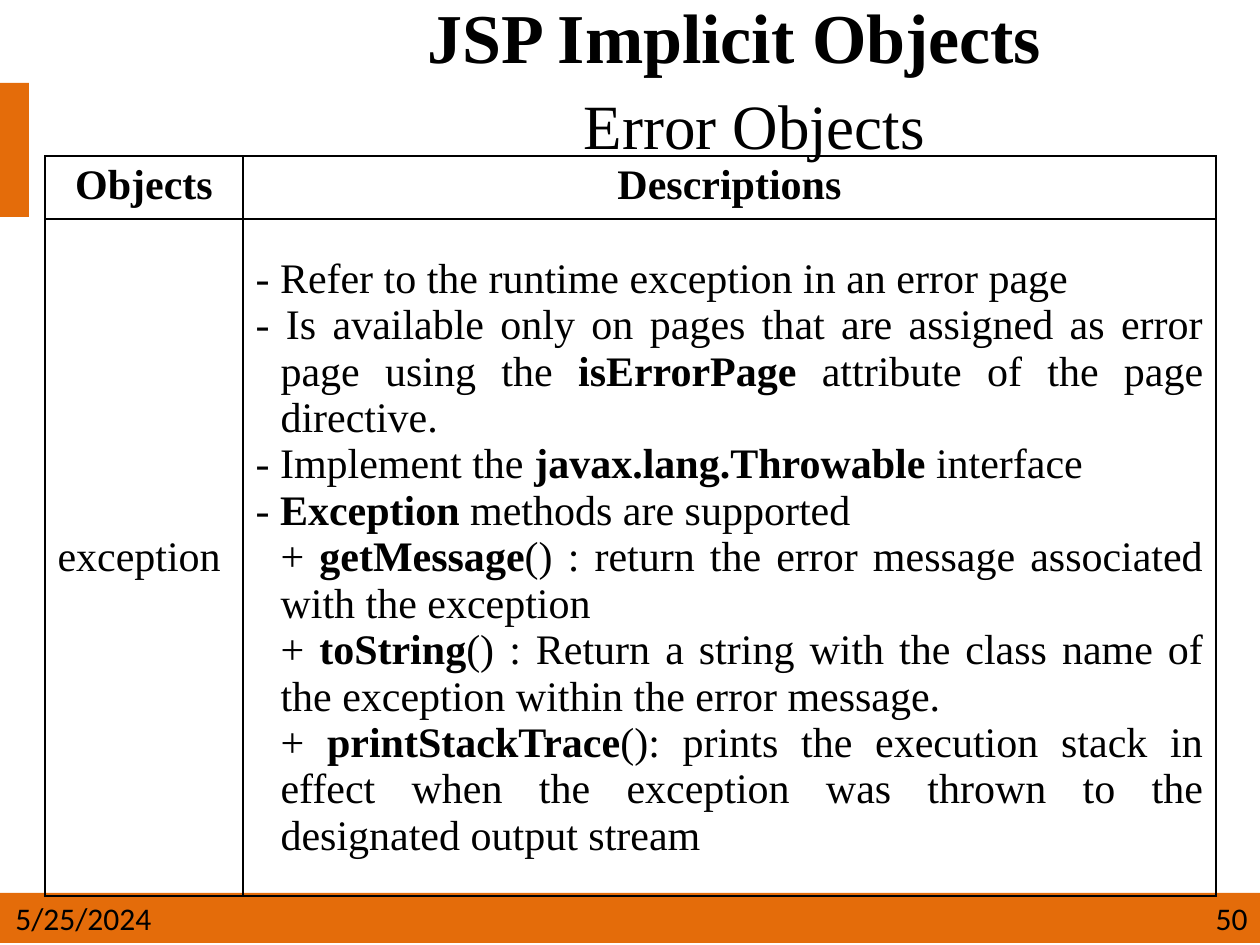
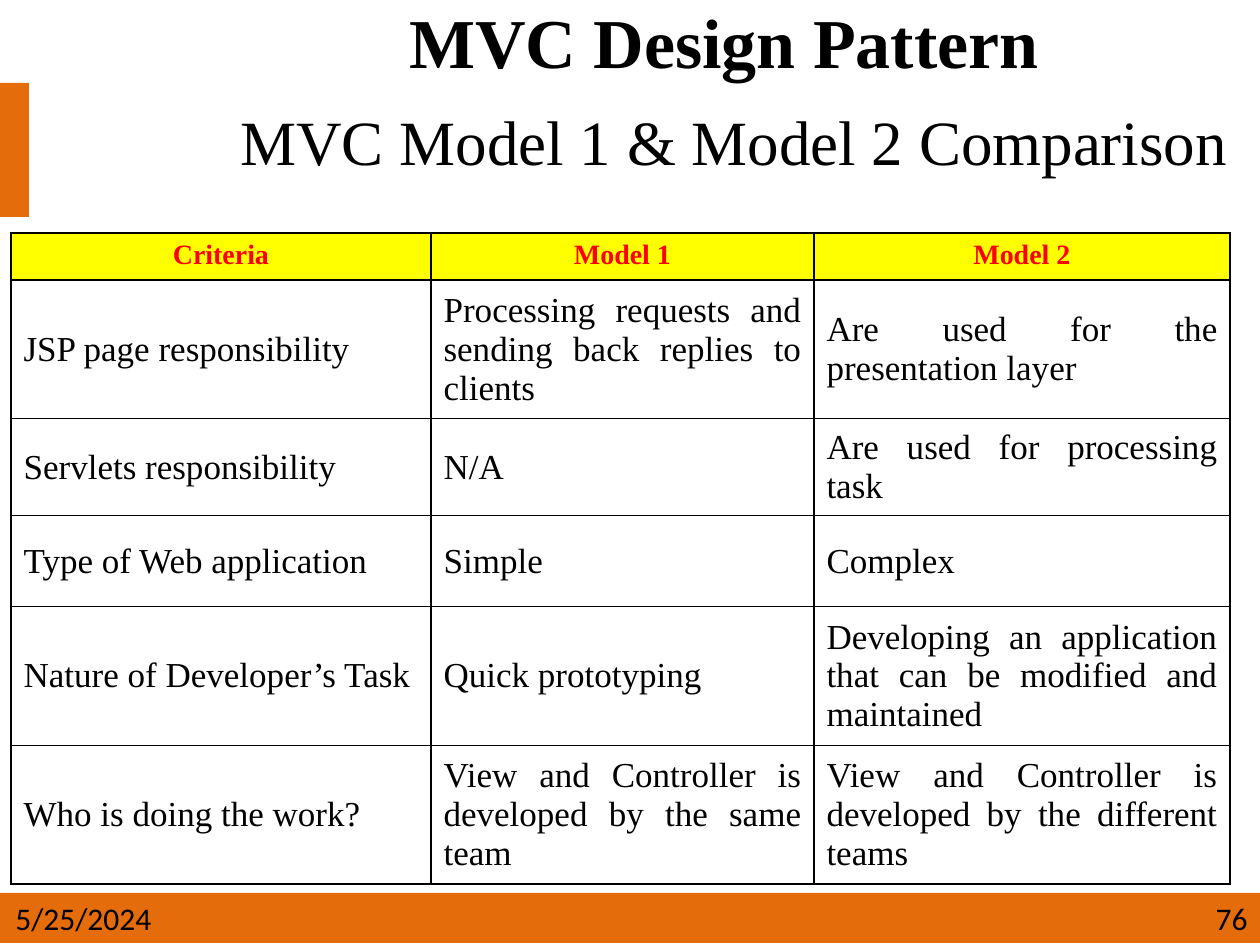
import pptx
import pptx.util
import pptx.dml.color
import pptx.enum.shapes
import pptx.enum.text
import pptx.oxml.ns
import lxml.etree

SCALE = 914400 / 126
ALIGN = pptx.enum.text.PP_ALIGN
MIDDLE = pptx.enum.text.MSO_ANCHOR.MIDDLE
TOP = pptx.enum.text.MSO_ANCHOR.TOP
SERIF, SANS = "Times New Roman", "Calibri"
ORANGE, BLACK, RED, YELLOW = "E46C0A", "000000", "FF0000", "FFFF00"
RGB = pptx.dml.color.RGBColor.from_string


def px(*nums):
    """Turn px into EMU: one length, or a list of them."""
    sizes = [pptx.util.Emu(round(n * SCALE)) for n in nums]
    return sizes[0] if len(sizes) == 1 else sizes


def write(para, text, size, font=SERIF, color=BLACK, align=ALIGN.LEFT):
    """Fill a paragraph; words between asterisks are bold."""
    para.alignment = align
    for i, part in enumerate(text.split("*")):
        if part:
            run = para.add_run()
            run.text = part
            run.font.size = pptx.util.Pt(size)
            run.font.name = font
            run.font.bold = i % 2 == 1
            run.font.color.rgb = RGB(color)


# Slide content; a body line is justified, "+" lines sit under the dashes
error = [
    "- Refer to the runtime exception in an error page",
    "- Is available only on pages that are assigned as error page using the "
    "*isErrorPage* attribute of the page directive.",
    "- Implement the *javax.lang.Throwable* interface",
    "- *Exception* methods are supported",
    "+ *getMessage*() : return the error message associated with the exception",
    "+ *toString*() : Return a string with the class name of the exception "
    "within the error message.",
    "+ *printStackTrace*(): prints the execution stack in effect when the "
    "exception was thrown to the designated output stream",
]
pages = [
    dict(
        head="JSP Implicit Objects", sub="Error Objects", page="50",
        box=(219, 12, 1031, 132), gap=5, shift=40,
        spot=(45, 156), cols=[198, 973], rows=[63, 677],
        top=(24, BLACK, None), size=24,
        cells=[["Objects", "Descriptions"], ["exception", "\n".join(error)]],
    ),
    dict(
        head="MVC Design Pattern", sub="MVC Model 1 & Model 2 Comparison", page="76",
        box=(198, 3, 1052, 171), gap=11.5, shift=20,
        spot=(11, 233), cols=[420, 383, 416], rows=[47, 138, 97, 91, 138, 138],
        top=(16, RED, YELLOW), size=20,
        cells=[
            ["Criteria", "Model 1", "Model 2"],
            ["JSP page responsibility",
             "Processing requests and sending back replies to clients",
             "Are used for the presentation layer"],
            ["Servlets responsibility", "N/A", "Are used for processing task"],
            ["Type of Web application", "Simple", "Complex"],
            ["Nature of Developer’s Task", "Quick prototyping",
             "Developing an application that can be modified and maintained"],
            ["Who is doing the work?",
             "View and Controller is developed by the same team",
             "View and Controller is developed by the different teams"],
        ],
    ),
]

deck = pptx.Presentation()
deck.slide_width, deck.slide_height = px(1260, 945)

for page in pages:
    slide = deck.slides.add_slide(deck.slide_layouts[6])
    shapes = slide.shapes

    # Orange bands
    for area in [(0, 893, 1260, 50), (0, 83, 29, 134)]:
        band = shapes.add_shape(pptx.enum.shapes.MSO_SHAPE.RECTANGLE, *px(*area))
        band.shadow.inherit = False
        band.fill.solid()
        band.fill.fore_color.rgb = RGB(ORANGE)
        band.line.fill.background()

    # Title and subtitle
    frame = shapes.add_textbox(*px(*page["box"])).text_frame
    frame.word_wrap = True
    frame.vertical_anchor = MIDDLE
    frame.margin_top = frame.margin_bottom = 0
    write(frame.paragraphs[0], f"*{page['head']}*", 40, align=ALIGN.CENTER)
    para = frame.add_paragraph()
    para.space_before = pptx.util.Pt(page["gap"])
    para._p.get_or_add_pPr().set("marL", str(px(page["shift"])))
    write(para, page["sub"], 36, align=ALIGN.CENTER)

    # Table
    cols, rows = page["cols"], page["rows"]
    table = shapes.add_table(len(rows), len(cols), *px(*page["spot"], sum(cols), sum(rows))).table
    table.first_row = table.horz_banding = False
    for col, width in zip(table.columns, cols):
        col.width = px(width)
    for r, texts in enumerate(page["cells"]):
        table.rows[r].height = px(rows[r])
        for c, text in enumerate(texts):
            cell = table.cell(r, c)
            cell.vertical_anchor = MIDDLE if r else TOP
            size, color, fill = (page["size"], BLACK, None) if r else page["top"]
            if fill:
                cell.fill.solid()
                cell.fill.fore_color.rgb = RGB(fill)
            else:
                cell.fill.background()

            # Cell text, with a hanging indent for dash lines
            for i, line in enumerate(text.split("\n")):
                para = cell.text_frame.add_paragraph() if i else cell.text_frame.paragraphs[0]
                if line[0] in "-+":
                    props = para._p.get_or_add_pPr()
                    props.set("marL", str(px(25)))
                    props.set("indent", str(px(-25 if line[0] == "-" else 0)))
                if r:
                    write(para, line, size, color=color, align=ALIGN.JUSTIFY)
                else:
                    write(para, f"*{line}*", size, color=color, align=ALIGN.CENTER)

            # Cell borders, which come ahead of the fill
            for i, side in enumerate("LRTB"):
                edge = lxml.etree.Element(pptx.oxml.ns.qn("a:ln" + side), w="12700")
                paint = lxml.etree.SubElement(edge, pptx.oxml.ns.qn("a:solidFill"))
                lxml.etree.SubElement(paint, pptx.oxml.ns.qn("a:srgbClr"), val=BLACK)
                cell._tc.get_or_add_tcPr().insert(i, edge)

    # Date and page number
    for area, text, align in [
        ((3, 893, 192, 50), "5/25/2024", ALIGN.LEFT),
        ((882, 893, 378, 50), page["page"], ALIGN.RIGHT),
    ]:
        frame = shapes.add_textbox(*px(*area)).text_frame
        frame.word_wrap = True
        write(frame.paragraphs[0], text, 18, SANS, align=align)

deck.save("out.pptx")
